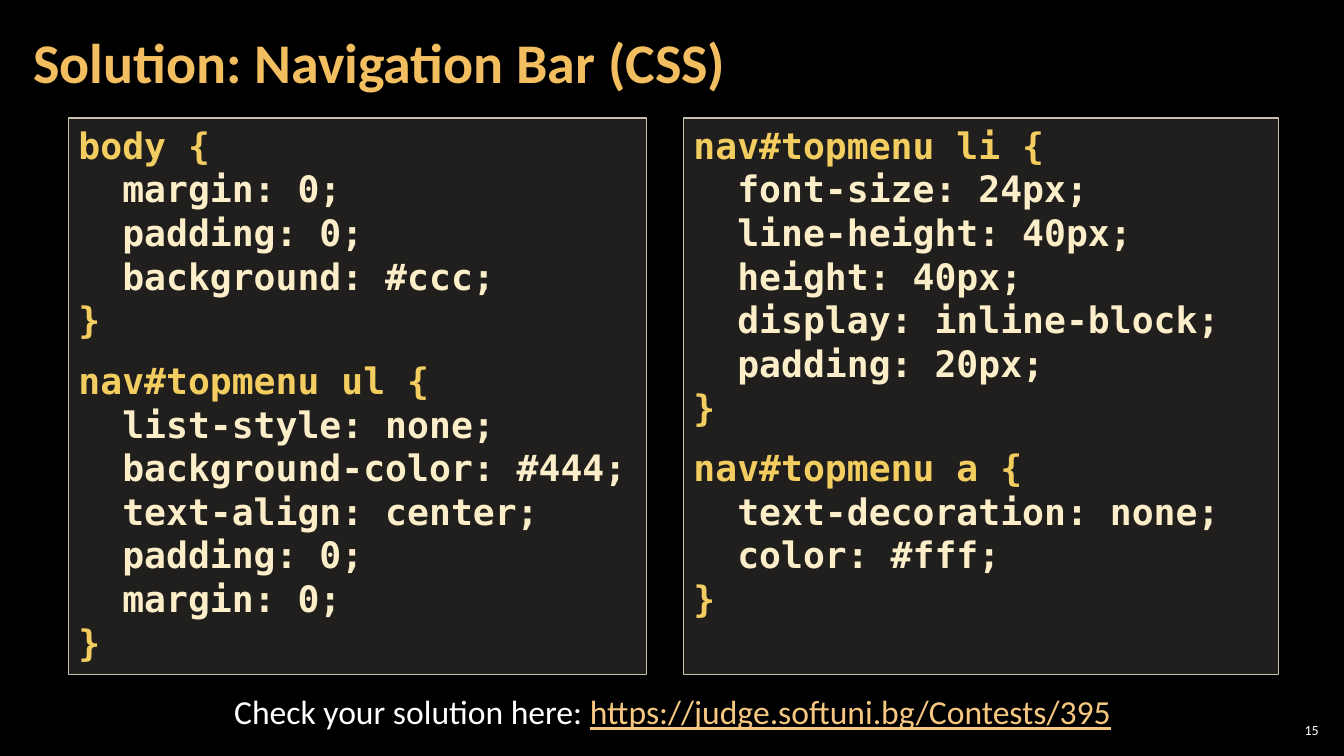
from pptx import Presentation
from pptx.dml.color import RGBColor
from pptx.enum.shapes import MSO_SHAPE
from pptx.enum.text import MSO_ANCHOR, PP_ALIGN
from pptx.oxml.ns import qn
from pptx.util import Inches, Pt
from lxml import etree

RECT = MSO_SHAPE.RECTANGLE
TOP, MID = MSO_ANCHOR.TOP, MSO_ANCHOR.MIDDLE
LEFT, MIDDLE, RIGHT = PP_ALIGN.LEFT, PP_ALIGN.CENTER, PP_ALIGN.RIGHT

HEX = {
    "back": "000000", "white": "FFFFFF", "title": "F3BE60",
    "rule": "F3CD60", "body": "FBEEC9", "link": "F6C781",
    "panel": "D9D5C7", "edge": "C7BFAC",
}
TITLE = {"name": "Calibri", "size": Pt(40), "bold": True}
CODE = {"name": "DejaVu Sans Mono", "size": Pt(26), "bold": True}
NOTE = {"name": "Calibri", "size": Pt(24)}
LINK = {**NOTE, "underline": True}
PAGE = {"name": "Calibri", "size": Pt(10)}

BODY_CSS = """body {
  margin: 0;
  padding: 0;
  background: #ccc;
}
nav#topmenu ul {
  list-style: none;
  background-color: #444;
  text-align: center;
  padding: 0;
  margin: 0;
}"""
ITEM_CSS = """nav#topmenu li {
  font-size: 24px;
  line-height: 40px;
  height: 40px;
  display: inline-block;
  padding: 20px;
}
nav#topmenu a {
  text-decoration: none;
  color: #fff;
}"""


def color(key):
    return RGBColor.from_string(HEX[key])


def add_run(para, text, form, key):
    run = para.add_run()
    run.text = text
    for name, value in form.items():
        setattr(run.font, name, value)
    run.font.color.rgb = color(key)


def set_frame(frame, anchor, side=0.1, edge=0.05):
    form = {
        "word_wrap": True, "vertical_anchor": anchor,
        "margin_left": Inches(side), "margin_right": Inches(side),
        "margin_top": Inches(edge), "margin_bottom": Inches(edge),
    }
    for name, value in form.items():
        setattr(frame, name, value)


def add_title(slide, text):
    title = slide.shapes.title
    title.left, title.top = Inches(0.21), Inches(0.04)
    title.width, title.height = Inches(10.47), Inches(1.21)
    set_frame(title.text_frame, MID, 0.12, 0.04)
    para = title.text_frame.paragraphs[0]
    para.alignment, para.line_spacing = LEFT, 0.9
    add_run(para, text, TITLE, "title")


def add_code(slide, left, width, code):
    box = slide.shapes.add_shape(
        RECT, Inches(left), Inches(1.17), Inches(width), Inches(5.52))
    box.shadow.inherit = False
    box.fill.solid()
    box.fill.fore_color.rgb = color("panel")
    tint = box.fill._xPr.find(qn("a:solidFill"))[0]
    etree.SubElement(tint, qn("a:alpha"), val="15000")
    box.line.color.rgb = color("edge")
    box.line.width = Pt(1)
    frame = box.text_frame
    set_frame(frame, TOP)
    for row, text in enumerate(code.split("\n")):
        para = frame.add_paragraph() if row else frame.paragraphs[0]
        para.alignment = LEFT
        if row and text.endswith("{"):
            para.space_before = Pt(12)
        add_run(para, text, CODE, "body" if text.startswith(" ") else "rule")


def add_text(slide, area, align, anchor, runs, side=0.1, edge=0.05):
    box = slide.shapes.add_textbox(*map(Inches, area))
    set_frame(box.text_frame, anchor, side, edge)
    para = box.text_frame.paragraphs[0]
    para.alignment = align
    for text, form, key in runs:
        add_run(para, text, form, key)


def main():
    deck = Presentation()
    deck.slide_width, deck.slide_height = Inches(13.33), Inches(7.5)
    slide = deck.slides.add_slide(deck.slide_layouts[5])
    slide.background.fill.solid()
    slide.background.fill.fore_color.rgb = color("back")
    add_title(slide, "Solution: Navigation Bar (CSS)")
    add_code(slide, 0.68, 5.73, BODY_CSS)
    add_code(slide, 6.78, 5.9, ITEM_CSS)
    add_text(slide, (0.65, 6.81, 12.04, 0.5), MIDDLE, TOP, [
        ("Check your solution here: ", NOTE, "white"),
        ("https://judge.softuni.bg/Contests/395", LINK, "link"),
    ])
    add_text(slide, (12.65, 7.14, 0.47, 0.21), RIGHT, MID,
             [("15", PAGE, "white")], 0.04, 0.04)
    deck.save("out.pptx")


if __name__ == "__main__":
    main()
